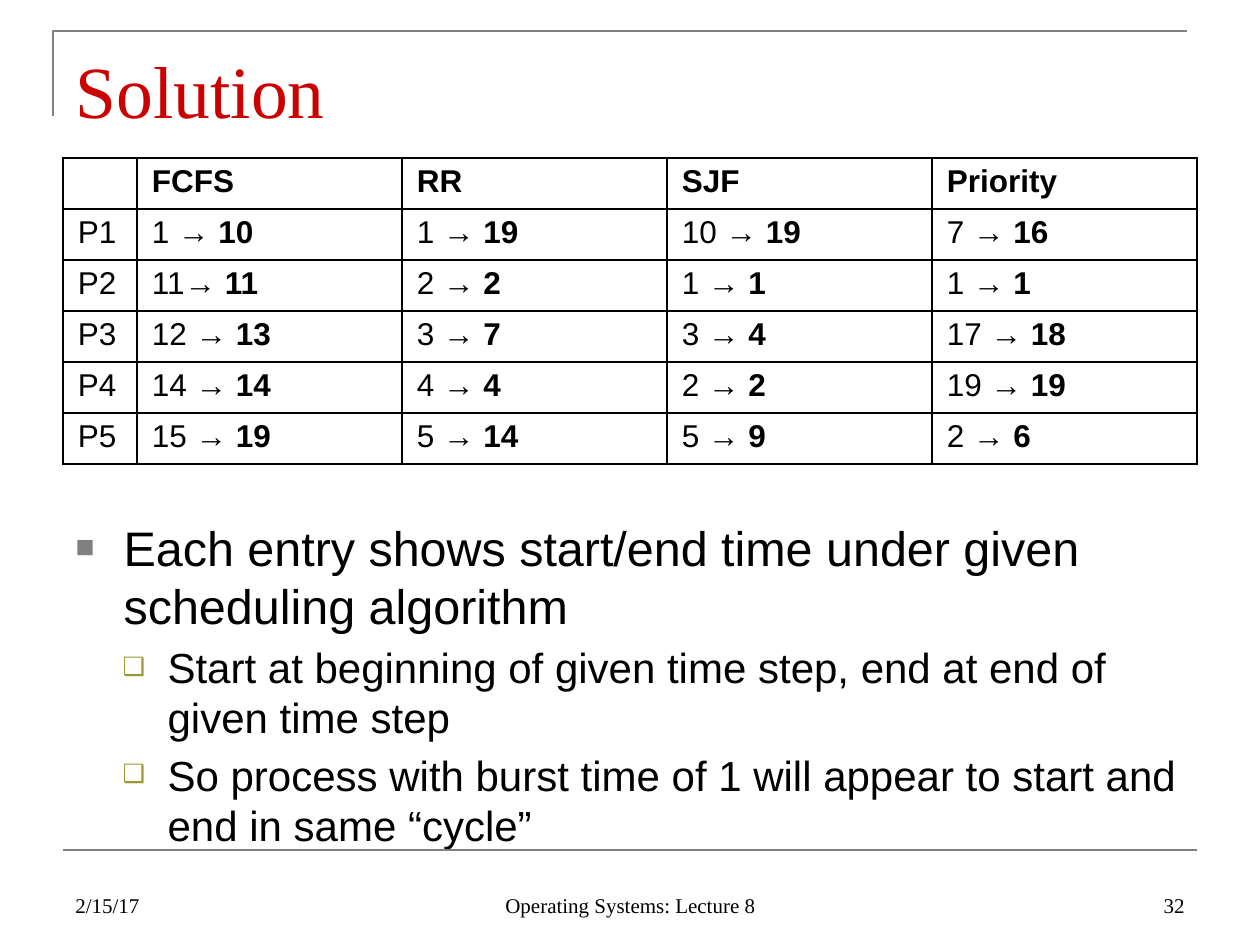
import pptx
import pptx.util
import pptx.dml.color
import pptx.enum.text
import pptx.enum.shapes
import pptx.oxml
import pptx.oxml.ns

Pt = pptx.util.Pt
RGB = pptx.dml.color.RGBColor
Anchor = pptx.enum.text.MSO_ANCHOR
Align = pptx.enum.text.PP_ALIGN
SCALE = 914400 / 126
NS = pptx.oxml.ns.nsdecls("a")

BLACK = RGB(0x00, 0x00, 0x00)
WHITE = RGB(0xFF, 0xFF, 0xFF)
GRAY = RGB(0x80, 0x80, 0x80)
RED = RGB(0xCC, 0x00, 0x00)
OLIVE = RGB(0x99, 0x99, 0x33)


def px(count):
    """Turn pixels into EMU."""
    return pptx.util.Emu(round(count * SCALE))


def style(font, size, name, color=BLACK, bold=False):
    font.size, font.name, font.bold = Pt(size), name, bold
    font.color.rgb = color


deck = pptx.Presentation()
deck.slide_width, deck.slide_height = px(1260), px(945)
slide = deck.slides.add_slide(deck.slide_layouts[1])
shapes = slide.shapes

# Frame lines
build = shapes.build_freeform(53, 116, scale=SCALE)
build.add_line_segments([(53, 31), (1187, 31)], close=False)
frame = build.convert_to_shape()
frame.fill.background()
frame.shadow.inherit = False
rule = shapes.add_connector(
    pptx.enum.shapes.MSO_CONNECTOR.STRAIGHT, px(63), px(850), px(1197), px(850))
rule._element.spPr.append(pptx.oxml.parse_xml(f"<a:effectLst {NS}/>"))
for edge in (frame, rule):
    edge.line.color.rgb = GRAY
    edge.line.width = Pt(1.5)

# Title
title = shapes.title
title.left, title.top, title.width, title.height = px(63), px(38), px(1134), px(98)
frame = title.text_frame
frame.auto_size = pptx.enum.text.MSO_AUTO_SIZE.NONE
frame.vertical_anchor = Anchor.BOTTOM
frame.margin_bottom = px(3)
frame.text = "Solution"
frame.paragraphs[0].alignment = Align.LEFT
style(frame.paragraphs[0].runs[0].font, 42, "Times New Roman", RED)

# Schedule table
ROWS = [
    ["", "FCFS", "RR", "SJF", "Priority"],
    ["P1", "1 → 10", "1 → 19", "10 → 19", "7 → 16"],
    ["P2", "11→ 11", "2 → 2", "1 → 1", "1 → 1"],
    ["P3", "12 → 13", "3 → 7", "3 → 4", "17 → 18"],
    ["P4", "14 → 14", "4 → 4", "2 → 2", "19 → 19"],
    ["P5", "15 → 19", "5 → 14", "5 → 9", "2 → 6"],
]
table = shapes.add_table(6, 5, px(63), px(158), px(1134), px(306)).table
table.first_row = table.horz_banding = False
for col, width in zip(table.columns, [74] + [265] * 4):
    col.width = px(width)
for row, texts in zip(table.rows, ROWS):
    row.height = px(51)
    for cell, text in zip(row.cells, texts):
        cell.margin_left = cell.margin_right = px(15)
        cell.margin_top = cell.margin_bottom = px(6)
        props = cell._tc.get_or_add_tcPr()
        for side in ("lnL", "lnR", "lnT", "lnB"):
            props.append(pptx.oxml.parse_xml(
                f'<a:{side} {NS} w="12700"><a:solidFill>'
                f'<a:srgbClr val="{BLACK}"/></a:solidFill></a:{side}>'))
        cell.fill.solid()
        cell.fill.fore_color.rgb = WHITE
        start, gap, end = text.rpartition(" ")
        strong = bool(start) or texts is ROWS[0]
        for part, bold in ((start + gap, False), (end, strong)):
            if part:
                run = cell.text_frame.paragraphs[0].add_run()
                run.text = part
                style(run.font, 18, "Arial", bold=bold)

# Bullet list: text, level, size, left, hang, mark, mark color, mark percent
ITEMS = [
    ("Each entry shows start/end time under given scheduling algorithm",
     0, 27.7, 48, 48, "■", GRAY, 65),
    ("Start at beginning of given time step, end at end of given time step",
     1, 24, 92, 45, "❑", OLIVE, 60),
    ("So process with burst time of 1 will appear to start and end in same “cycle”",
     1, 24, 92, 45, "❑", OLIVE, 60),
]
body = slide.placeholders[1]
body.left, body.top, body.width, body.height = px(63), px(512), px(1134), px(333)
frame = body.text_frame
frame.auto_size = pptx.enum.text.MSO_AUTO_SIZE.NONE
frame.margin_top = px(6)
frame.text = "\n".join(item[0] for item in ITEMS)
for para, item in zip(frame.paragraphs, ITEMS):
    text, level, size, left, hang, mark, color, share = item
    para.level = level
    para.line_spacing = 1.0
    para.space_before = Pt(4 if level else 0)
    props = para._p.get_or_add_pPr()
    props.set("marL", str(px(left)))
    props.set("indent", str(-px(hang)))
    for xml in (f'<a:buClr {NS}><a:srgbClr val="{color}"/></a:buClr>',
                f'<a:buSzPct {NS} val="{share * 1000}"/>',
                f'<a:buChar {NS} char="{mark}"/>'):
        props.append(pptx.oxml.parse_xml(xml))
    style(para.runs[0].font, size, "Arial")

# Footer
for text, left, width, align in (
        ("2/15/17", 63, 294, Align.LEFT),
        ("Operating Systems: Lecture 8", 431, 399, Align.CENTER),
        ("32", 903, 294, Align.RIGHT)):
    frame = shapes.add_textbox(px(left), px(861), px(width), px(63)).text_frame
    frame.word_wrap = True
    frame.vertical_anchor = Anchor.BOTTOM
    frame.text = text
    frame.paragraphs[0].alignment = align
    style(frame.paragraphs[0].runs[0].font, 12, "Times New Roman")

deck.save("out.pptx")
